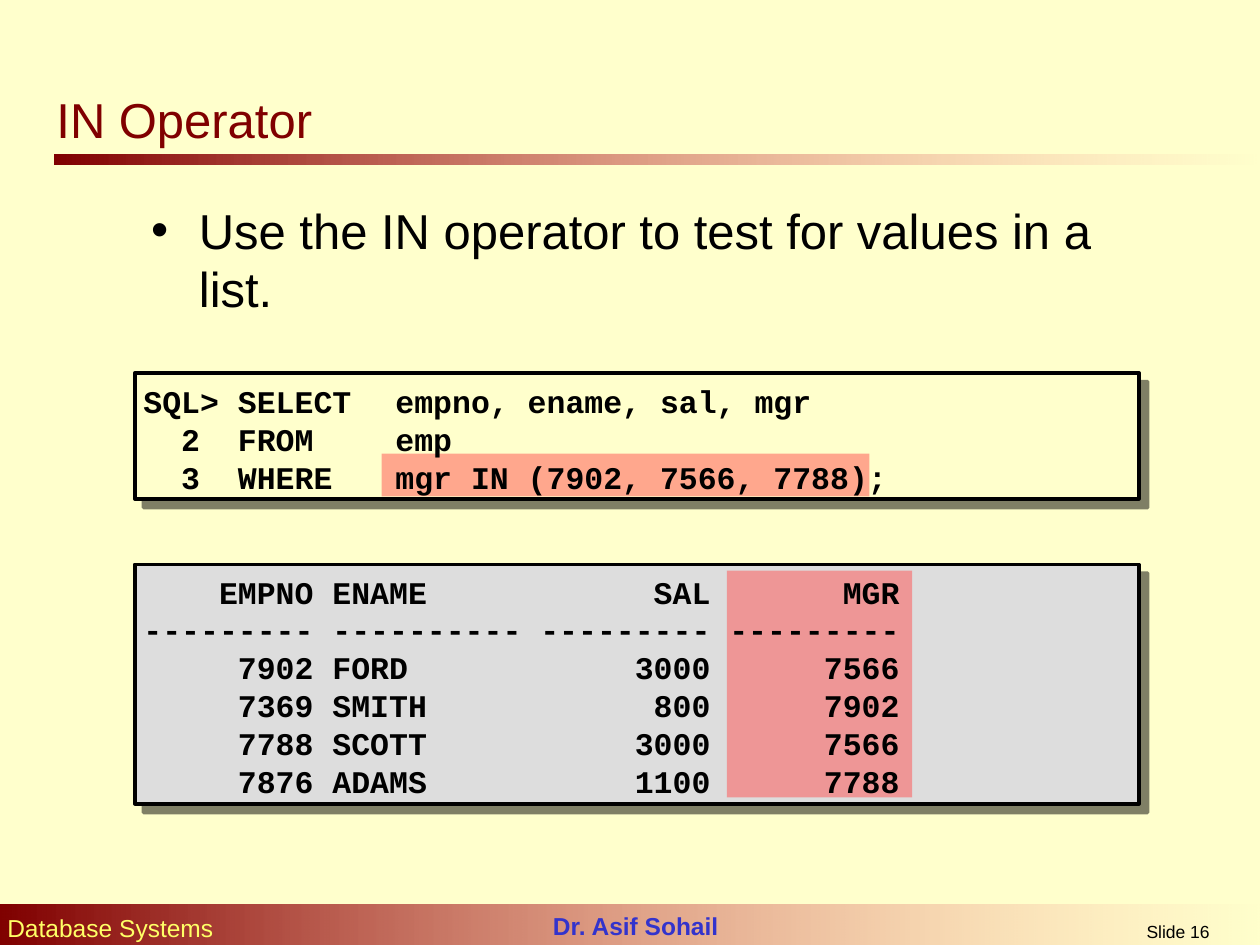
from dataclasses import dataclass

from lxml.etree import SubElement
from pptx import Presentation
from pptx.dml.color import RGBColor
from pptx.enum.shapes import MSO_SHAPE as Shape
from pptx.enum.text import MSO_ANCHOR as Anchor, PP_ALIGN as Align
from pptx.oxml import parse_xml
from pptx.oxml.ns import nsdecls, qn
from pptx.util import Inches, Pt

MAROON, BLACK, CREAM, CORAL = "800000", "000000", "FFFFCC", "FF5050"


@dataclass
class Box:
    left: float
    top: float
    width: float
    height: float

    def emu(self):
        return [Inches(v) for v in (self.left, self.top, self.width, self.height)]


@dataclass
class Label:
    box: Box
    text: str
    size: float
    color: str
    bold: bool = False
    font: str = "Arial"
    align: Align = Align.LEFT
    anchor: Anchor = Anchor.TOP
    wrap: bool = True
    line_pt: float | None = None


@dataclass
class Listing:
    panel: Box
    fill: str
    highlight: Box
    text_box: Box
    text: str


def rgb(value: str) -> RGBColor:
    return RGBColor.from_string(value)


def add_rect(s, box: Box, fill: str):
    sp = s.shapes.add_shape(Shape.RECTANGLE, *box.emu())
    sp.shadow.inherit = False
    sp.line.fill.background()
    sp.fill.solid()
    sp.fill.fore_color.rgb = rgb(fill)
    return sp


def add_fading_bar(s, box: Box):
    """Maroon bar that fades out to the right."""
    sp = add_rect(s, box, MAROON)
    sp.fill.gradient()
    sp.fill.gradient_angle = 0
    first, last = sp.fill.gradient_stops
    first.position, first.color.rgb = 0, rgb(MAROON)
    last.position, last.color.rgb = 1, rgb("FF8585")
    color = sp._element.spPr.findall(".//" + qn("a:srgbClr"))[-1]
    SubElement(color, qn("a:alpha"), val="0")


def add_panel(s, box: Box, fill: str):
    """Outlined box with a half-transparent drop shadow."""
    sp = add_rect(s, box, fill)
    sp.line.color.rgb = rgb(BLACK)
    sp.line.width = Pt(2)
    effects = sp._element.spPr.find(qn("a:effectLst"))
    effects.append(parse_xml(
        f'<a:outerShdw {nsdecls("a")} dist="{Pt(7.1)}" dir="2700000" algn="ctr" '
        f'rotWithShape="0"><a:srgbClr val="{BLACK}"><a:alpha val="50000"/>'
        '</a:srgbClr></a:outerShdw>'))


def add_highlight(s, box: Box):
    sp = add_rect(s, box, CORAL)
    color = sp._element.spPr.find(".//" + qn("a:srgbClr"))
    SubElement(color, qn("a:alpha"), val="50000")


def add_label(s, label: Label):
    tf = s.shapes.add_textbox(*label.box.emu()).text_frame
    tf.word_wrap = label.wrap
    tf.vertical_anchor = label.anchor
    tf.text = label.text
    for p in tf.paragraphs:
        p.alignment = label.align
        if label.line_pt:
            p.line_spacing = Pt(label.line_pt)
        for r in p.runs:
            r.font.name = label.font
            r.font.size = Pt(label.size)
            r.font.bold = label.bold
            r.font.color.rgb = rgb(label.color)
    return tf


def add_bullet(p, indent: float):
    pPr = p._p.get_or_add_pPr()
    pPr.set("marL", str(Inches(indent)))
    pPr.set("indent", str(Inches(-indent)))
    SubElement(pPr, qn("a:buFont"), typeface="Arial")
    SubElement(pPr, qn("a:buChar"), char="•")


def add_listing(s, listing: Listing):
    add_panel(s, listing.panel, listing.fill)
    add_highlight(s, listing.highlight)
    add_label(s, Label(listing.text_box, listing.text, 18, BLACK, True, "Courier New",
                       anchor=Anchor.MIDDLE, wrap=False, line_pt=21.6))


BARS = [Box(0.43, 1.23, 9.57, 0.08), Box(0, 7.18, 10.03, 0.35)]

LABELS = [
    Label(Box(-0.04, 7.2, 2.2, 0.33), "Database Systems", 14, "FFFF66"),
    Label(Box(8.31, 7.26, 2.08, 0.24), "Slide 16", 10, BLACK, align=Align.CENTER),
    Label(Box(4.29, 7.18, 2.2, 0.33), "Dr. Asif Sohail", 14, "3333CC", True),
    Label(Box(0.35, 0.68, 4.13, 0.55), "IN Operator", 28, MAROON, anchor=Anchor.BOTTOM),
]

BODY = Label(Box(1.1, 1.54, 8.08, 1.03),
             "Use the IN operator to test for values in a list.", 28, BLACK, line_pt=33.6)

QUERY = """SQL> SELECT\tempno, ename, sal, mgr
  2  FROM \temp
  3  WHERE\tmgr IN (7902, 7566, 7788);"""

RESULT = """    EMPNO ENAME            SAL       MGR
--------- ---------- --------- ---------
     7902 FORD            3000      7566
     7369 SMITH            800      7902
     7788 SCOTT           3000      7566
     7876 ADAMS           1100      7788"""

LISTINGS = [
    Listing(Box(1.07, 2.96, 7.97, 1), CREAM, Box(3.03, 3.6, 3.87, 0.34),
            Box(1.04, 2.97, 8, 1.03), QUERY),
    Listing(Box(1.07, 4.48, 7.97, 1.9), "DDDDDD", Box(5.77, 4.53, 1.47, 1.8),
            Box(1.04, 4.48, 8, 1.93), RESULT),
]


def main():
    prs = Presentation()
    prs.slide_width, prs.slide_height = Inches(10), Inches(7.5)
    s = prs.slides.add_slide(prs.slide_layouts[6])
    s.background.fill.solid()
    s.background.fill.fore_color.rgb = rgb(CREAM)

    for bar in BARS:
        add_fading_bar(s, bar)
    for label in LABELS:
        add_label(s, label)
    add_bullet(add_label(s, BODY).paragraphs[0], 0.38)
    for listing in LISTINGS:
        add_listing(s, listing)
    prs.save("out.pptx")


if __name__ == "__main__":
    main()
